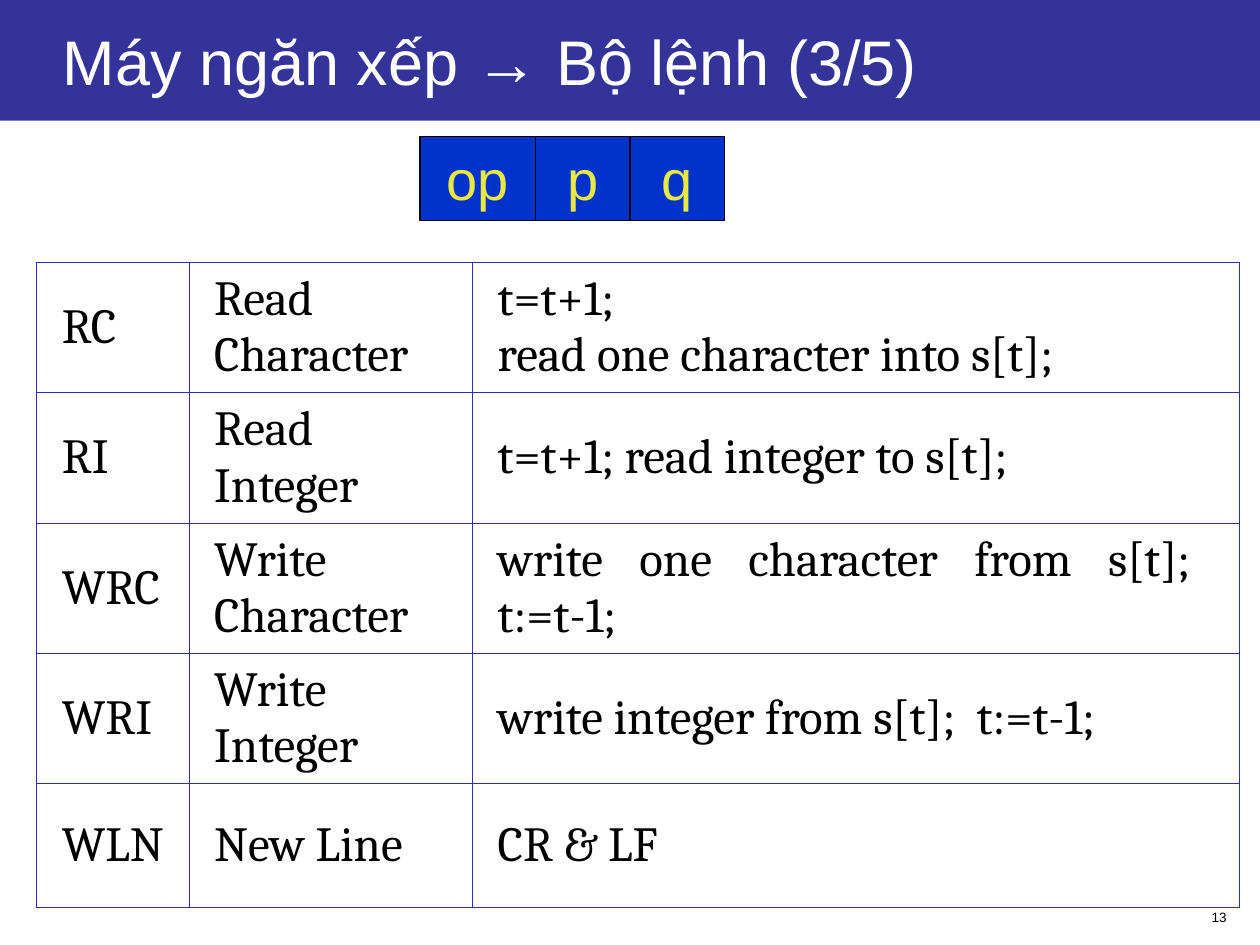
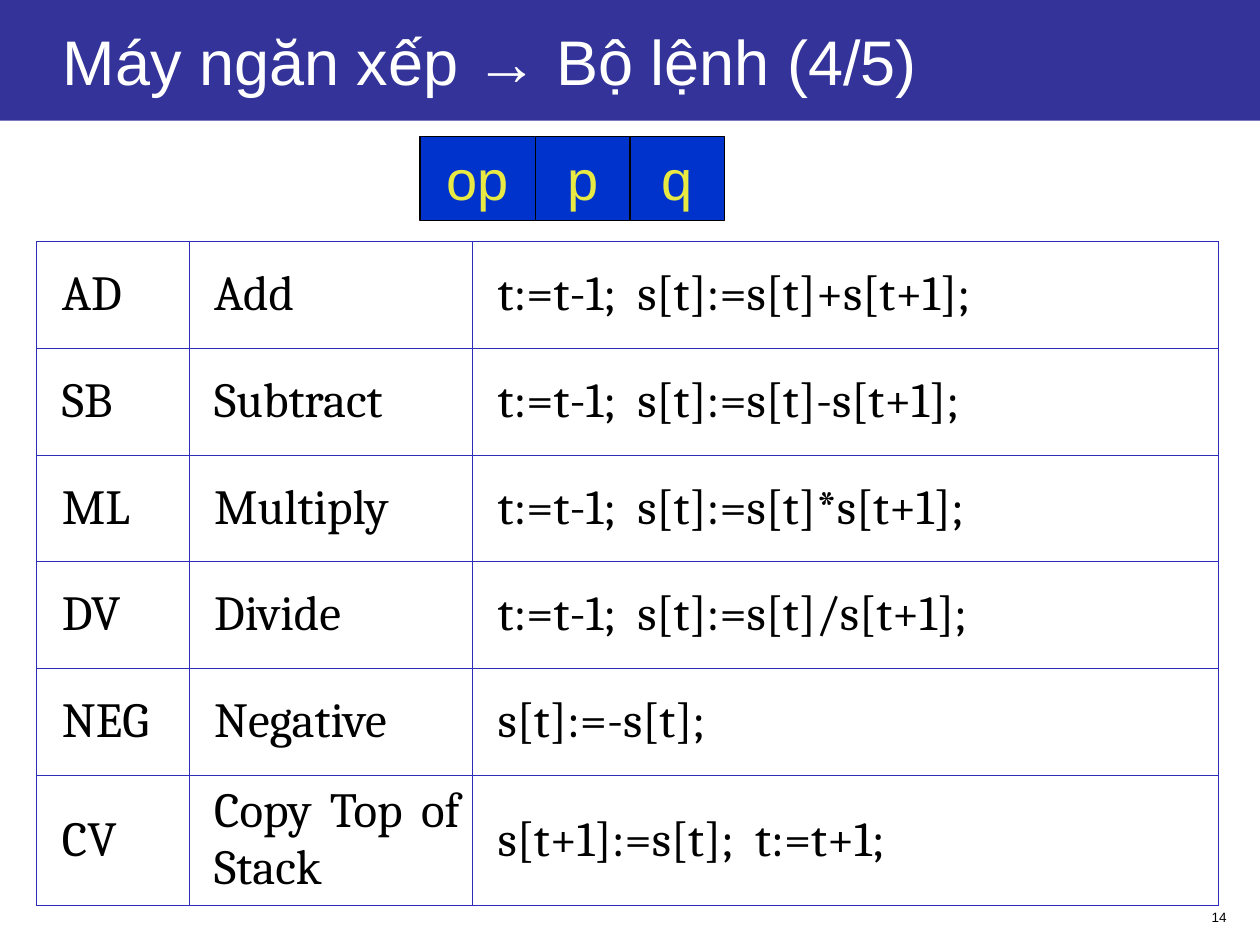
"""Build two slides listing the stack machine instruction set."""
from lxml.etree import SubElement
from pptx import Presentation
from pptx.dml.color import RGBColor
from pptx.enum.shapes import MSO_SHAPE
from pptx.enum.text import MSO_ANCHOR, PP_ALIGN
from pptx.oxml.ns import qn
from pptx.util import Pt

TITLE = "Máy ngăn xếp → Bộ lệnh ({}/5)"
FIELDS = [("op", 66), ("p", 54), ("q", 54)]
SLIDES = [
    {
        "part": 3, "number": 13, "top": 150,
        "columns": [87, 162, 438], "rows": [70.8] * 5,
        "instructions": [
            ("RC", "Read Character", "t=t+1;\nread one character into s[t];"),
            ("RI", "Read Integer", "t=t+1; read integer to s[t];"),
            ("WRC", "Write Character", "write one character from s[t];  t:=t-1;"),
            ("WRI", "Write Integer", "write integer from s[t];  t:=t-1;"),
            ("WLN", "New Line", "CR & LF"),
        ],
    },
    {
        "part": 4, "number": 14, "top": 138,
        "columns": [87, 162, 426], "rows": [61] * 5 + [67],
        "instructions": [
            ("AD", "Add", "t:=t-1;  s[t]:=s[t]+s[t+1];"),
            ("SB", "Subtract", "t:=t-1;  s[t]:=s[t]-s[t+1];"),
            ("ML", "Multiply", "t:=t-1;  s[t]:=s[t]*s[t+1];"),
            ("DV", "Divide", "t:=t-1;  s[t]:=s[t]/s[t+1];"),
            ("NEG", "Negative", "s[t]:=-s[t];"),
            ("CV", "Copy Top of Stack", "s[t+1]:=s[t];  t:=t+1;"),
        ],
    },
]
COLORS = {
    "band": "333399", "title": "FFFFFF", "field": "0033CC",
    "field_text": "E9E943", "border": "2D2DB9", "text": "000000",
}


def color(name):
    return RGBColor.from_string(COLORS[name])


def write(frame, text, size, fill="text", font="Arial", align=PP_ALIGN.LEFT):
    frame.text = text
    for paragraph in frame.paragraphs:
        paragraph.alignment = align
        for run in paragraph.runs:
            run.font.size = Pt(size)
            run.font.name = font
            run.font.color.rgb = color(fill)


def add_box(slide, left, top, width, height, fill, line=None):
    shape = slide.shapes.add_shape(
        MSO_SHAPE.RECTANGLE, Pt(left), Pt(top), Pt(width), Pt(height))
    shape.shadow.inherit = False
    shape.fill.solid()
    shape.fill.fore_color.rgb = color(fill)
    if line:
        shape.line.color.rgb = color(line)
        shape.line.width = Pt(0.75)
    else:
        shape.line.fill.background()
    shape.text_frame.vertical_anchor = MSO_ANCHOR.MIDDLE
    return shape


def set_borders(cell):
    properties = cell._tc.get_or_add_tcPr()
    for position, side in enumerate(("a:lnL", "a:lnR", "a:lnT", "a:lnB")):
        line = SubElement(properties, qn(side), w=str(int(Pt(0.45))))
        solid = SubElement(line, qn("a:solidFill"))
        SubElement(solid, qn("a:srgbClr"), val=COLORS["border"])
        properties.insert(position, line)


def add_frame(slide, part, number):
    page = slide.shapes.add_textbox(Pt(558), Pt(516), Pt(150), Pt(17))
    page.text_frame.word_wrap = True
    write(page.text_frame, str(number), size=7.7, align=PP_ALIGN.RIGHT)
    band = add_box(slide, 0, 0, 720, 69, "band")
    band.text_frame.margin_left = Pt(36)
    write(band.text_frame, TITLE.format(part), size=36, fill="title")


def add_fields(slide):
    left = 240
    for name, width in FIELDS:
        field = add_box(slide, left, 78, width, 48, "field", line="text")
        field.text_frame.word_wrap = False
        write(field.text_frame, name, size=32, fill="field_text", align=PP_ALIGN.CENTER)
        left += width


def add_instructions(slide, top, columns, rows, instructions):
    table = slide.shapes.add_table(
        len(rows), len(columns), Pt(21), Pt(top),
        Pt(sum(columns)), Pt(sum(rows))).table
    table.first_row = table.horz_banding = False
    for column, width in zip(table.columns, columns):
        column.width = Pt(width)
    for row, height, texts in zip(table.rows, rows, instructions):
        row.height = Pt(height)
        for cell, text in zip(row.cells, texts):
            cell.fill.background()
            cell.vertical_anchor = MSO_ANCHOR.MIDDLE
            cell.margin_left = Pt(14.4)
            set_borders(cell)
            write(cell.text_frame, text, size=28, font="Cambria", align=PP_ALIGN.JUSTIFY)


def main():
    presentation = Presentation()
    presentation.slide_width = Pt(720)
    presentation.slide_height = Pt(540)
    for content in SLIDES:
        slide = presentation.slides.add_slide(presentation.slide_layouts[6])
        add_frame(slide, content["part"], content["number"])
        add_fields(slide)
        add_instructions(slide, content["top"], content["columns"],
                         content["rows"], content["instructions"])
    presentation.save("out.pptx")


if __name__ == "__main__":
    main()
